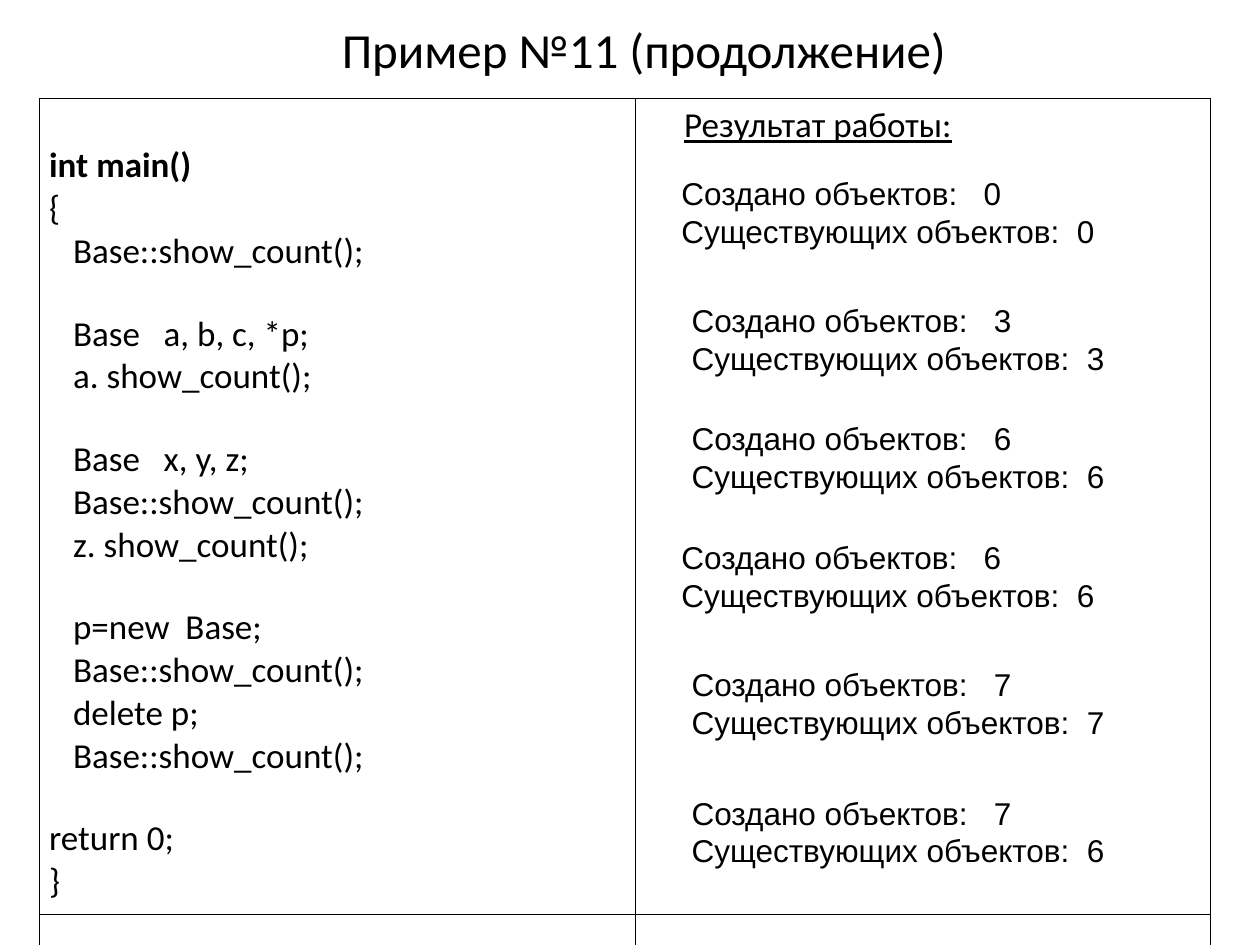
import pptx
import pptx.util
import pptx.dml.color
import pptx.enum.text
import pptx.oxml
import pptx.oxml.ns

Pt = pptx.util.Pt
ALIGN = pptx.enum.text.PP_ALIGN
HUES = {"ink": "000000", "page": "FFFFFF"}

deck = pptx.Presentation()
deck.slide_width = pptx.util.Inches(10)
deck.slide_height = pptx.util.Inches(7.5)
slide = deck.slides.add_slide(deck.slide_layouts[6])
slide.background.fill.solid()
slide.background.fill.fore_color.rgb = pptx.dml.color.RGBColor.from_string(HUES["page"])

# Lengths are counted in hundredths of the slide's width and height.
COL = deck.slide_width / 100
ROW = deck.slide_height / 100


def write(par, text, size, face="Calibri", bold=False, line=False):
    """Add one run to a paragraph."""
    run = par.add_run()
    run.text = text
    run.font.size = Pt(size)
    run.font.name = face
    run.font.bold = bold
    run.font.underline = line
    run.font.color.rgb = pptx.dml.color.RGBColor.from_string(HUES["ink"])


def add_box(left, top, width, height):
    """Add a wrapping text box and return its text frame."""
    box = slide.shapes.add_textbox(
        round(left * COL), round(top * ROW), round(width * COL), round(height * ROW))
    box.text_frame.word_wrap = True
    return box.text_frame


# Title
title = add_box(8.6, 0, 85, 10.4)
title.vertical_anchor = pptx.enum.text.MSO_ANCHOR.MIDDLE
title.paragraphs[0].alignment = ALIGN.CENTER
write(title.paragraphs[0], "Пример №11 (продолжение)", 28)

# Table of code and output
wide, tall = (47.3, 45.7), 86.4
table = slide.shapes.add_table(
    2, 2, round(3.1 * COL), round(10.4 * ROW),
    round(sum(wide) * COL), round(2 * tall * ROW)).table
table.first_row = table.horz_banding = False
for col, share in zip(table.columns, wide):
    col.width = round(share * COL)
for row in table.rows:
    row.height = round(tall * ROW)

for cell in table.iter_cells():
    cell.margin_left = cell.margin_right = round(0.8 * COL)
    cell.margin_top = cell.margin_bottom = round(0.67 * ROW)
    props = cell._tc.get_or_add_tcPr()
    for side in "LRTB":
        props.append(pptx.oxml.parse_xml(
            f'<a:ln{side} {pptx.oxml.ns.nsdecls("a")} w="{Pt(0.45)}"><a:solidFill>'
            f'<a:srgbClr val="{HUES["ink"]}"/></a:solidFill></a:ln{side}>'))
    cell.fill.background()

# Each block of code is set off by a gap: (indented, lines)
blocks = [
    (True, ["Base::show_count();"]),
    (True, ["Base   a, b, c, *p;", "a. show_count();"]),
    (True, ["Base   x, y, z;", "Base::show_count();", "z. show_count();"]),
    (True, ["p=new  Base;", "Base::show_count();", "delete p;", "Base::show_count();"]),
    (False, ["return 0;", "}"]),
]
code = table.cell(0, 0)
code.margin_top = round(4.9 * ROW)
frame = code.text_frame
frame.paragraphs[0].alignment = ALIGN.JUSTIFY
write(frame.paragraphs[0], "int main()", 20, bold=True)
brace = frame.add_paragraph()
brace.alignment = ALIGN.JUSTIFY
write(brace, "{", 20)
for num, (inset, lines) in enumerate(blocks):
    for spot, text in enumerate(lines):
        par = frame.add_paragraph()
        par.alignment = ALIGN.JUSTIFY
        if num and spot == 0:
            par.space_before = Pt(22.6)
        if inset:
            par._p.get_or_add_pPr().set("marL", str(round(1.9 * COL)))
        write(par, text, 20)

head = table.cell(0, 1)
head.margin_left = round(3.9 * COL)
head.text_frame.paragraphs[0].alignment = ALIGN.JUSTIFY
write(head.text_frame.paragraphs[0], "Результат работы:", 20, line=True)

# Printed counts: left, top, objects made, objects alive
counts = [
    (53.1, 17.73, 0, 0), (53.9, 31.2, 3, 3), (53.9, 43.73, 6, 6),
    (53.1, 56.27, 6, 6), (53.9, 69.73, 7, 7), (53.9, 83.33, 7, 6),
]
for left, top, made, alive in counts:
    frame = add_box(left, top, 35.2, 9.33)
    frame.auto_size = pptx.enum.text.MSO_AUTO_SIZE.SHAPE_TO_FIT_TEXT
    write(frame.paragraphs[0], f"Создано объектов:   {made}", 18, "Arial")
    write(frame.add_paragraph(), f"Существующих объектов:  {alive}", 18, "Arial")

deck.save("out.pptx")
